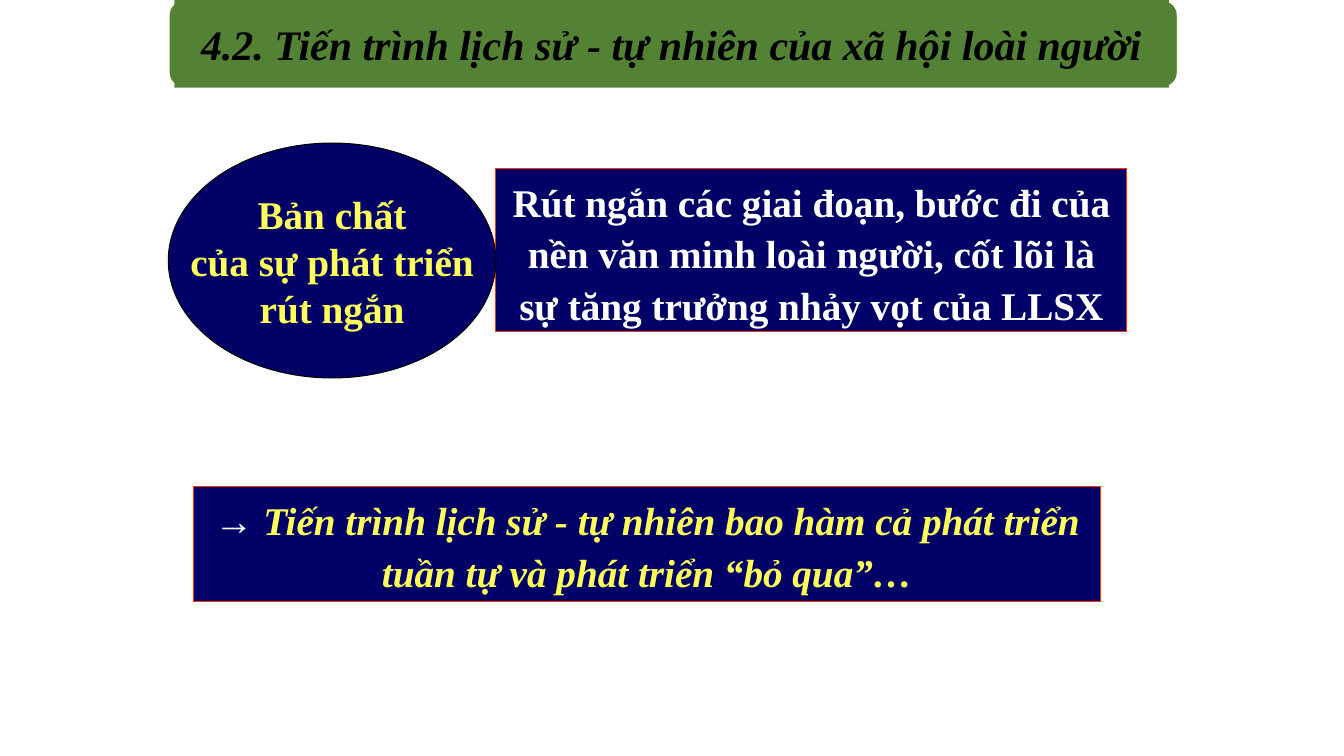
from pptx import Presentation
from pptx.dml.color import RGBColor
from pptx.enum.shapes import MSO_SHAPE
from pptx.enum.text import MSO_ANCHOR, MSO_AUTO_SIZE, PP_ALIGN
from pptx.util import Pt

COLORS = {
    "navy": "000066",
    "green": "548235",
    "red": "FF3300",
    "yellow": "FFFF59",
    "black": "000000",
    "white": "FFFFFF",
}
LETTERING = {"name": "Times New Roman", "bold": True}


def paint(part, fill, line=None, width=0.75):
    part.fill.solid()
    part.fill.fore_color.rgb = RGBColor.from_string(COLORS[fill])
    if line:
        part.line.color.rgb = RGBColor.from_string(COLORS[line])
        part.line.width = Pt(width)
    else:
        part.line.fill.background()


def write(part, paragraphs, frame_format, font_format, spacing):
    for key, value in frame_format.items():
        setattr(part.text_frame, key, value)
    for index, pieces in enumerate(paragraphs):
        paragraph = part.text_frame.paragraphs[0] if index == 0 else part.text_frame.add_paragraph()
        paragraph.alignment = PP_ALIGN.CENTER
        paragraph.line_spacing = spacing
        paragraph.space_before = Pt(0)
        for words, color in pieces:
            run = paragraph.add_run()
            run.text = words
            for key, value in {**LETTERING, **font_format}.items():
                setattr(run.font, key, value)
            run.font.color.rgb = RGBColor.from_string(COLORS[color])


deck = Presentation()
deck.slide_width, deck.slide_height = Pt(960), Pt(540)
slide = deck.slides.add_slide(deck.slide_layouts[5])

heading = slide.shapes.title
heading.left, heading.top, heading.width, heading.height = Pt(124.5), Pt(0), Pt(710.5), Pt(62.6)
paint(heading, "green")
write(
    heading,
    [[("4.2. Tiến trình lịch sử - tự nhiên của xã hội loài người", "black")]],
    {
        "auto_size": MSO_AUTO_SIZE.NONE,
        "word_wrap": True,
        "vertical_anchor": MSO_ANCHOR.MIDDLE,
        "margin_left": Pt(17.3),
        "margin_right": Pt(17.3),
        "margin_top": Pt(0),
        "margin_bottom": Pt(0),
    },
    {"size": Pt(30), "italic": True},
    1.0,
)

banner = slide.shapes.add_shape(MSO_SHAPE.ROUNDED_RECTANGLE, Pt(120.2), Pt(0), Pt(721.4), Pt(62.6))
banner.shadow.inherit = False
paint(banner, "green", "white", 2)
heading._element.addprevious(banner._element)

boxed = {"word_wrap": True, "vertical_anchor": MSO_ANCHOR.TOP}
centred = {"word_wrap": False, "vertical_anchor": MSO_ANCHOR.MIDDLE}
statements = [
    (MSO_SHAPE.RECTANGLE, (354.2, 120.2, 450.7, 116.6), "red", boxed, False, 1.1, [
        [("Rút ngắn các giai đoạn, bước đi của nền văn minh loài người, "
          "cốt lõi là sự tăng trưởng nhảy vọt của LLSX", "white")],
    ]),
    (MSO_SHAPE.OVAL, (120.2, 102.2, 234, 167.8), "black", centred, False, 1.0, [
        [("Bản chất", "yellow")],
        [("của sự phát triển", "yellow")],
        [("rút ngắn", "yellow")],
    ]),
    (MSO_SHAPE.RECTANGLE, (138.2, 347.8, 648, 82.1), "red", boxed, True, 1.1, [
        [("→ ", "white"),
         ("Tiến trình lịch sử - tự nhiên bao hàm cả phát triển "
          "tuần tự và phát triển “bỏ qua”…", "yellow")],
    ]),
]
for outline, bounds, edge, frame_format, italic, spacing, paragraphs in statements:
    statement = slide.shapes.add_shape(outline, *map(Pt, bounds))
    statement.shadow.inherit = False
    paint(statement, "navy", edge)
    write(statement, paragraphs, frame_format, {"size": Pt(28), "italic": italic}, spacing)

deck.save("out.pptx")
